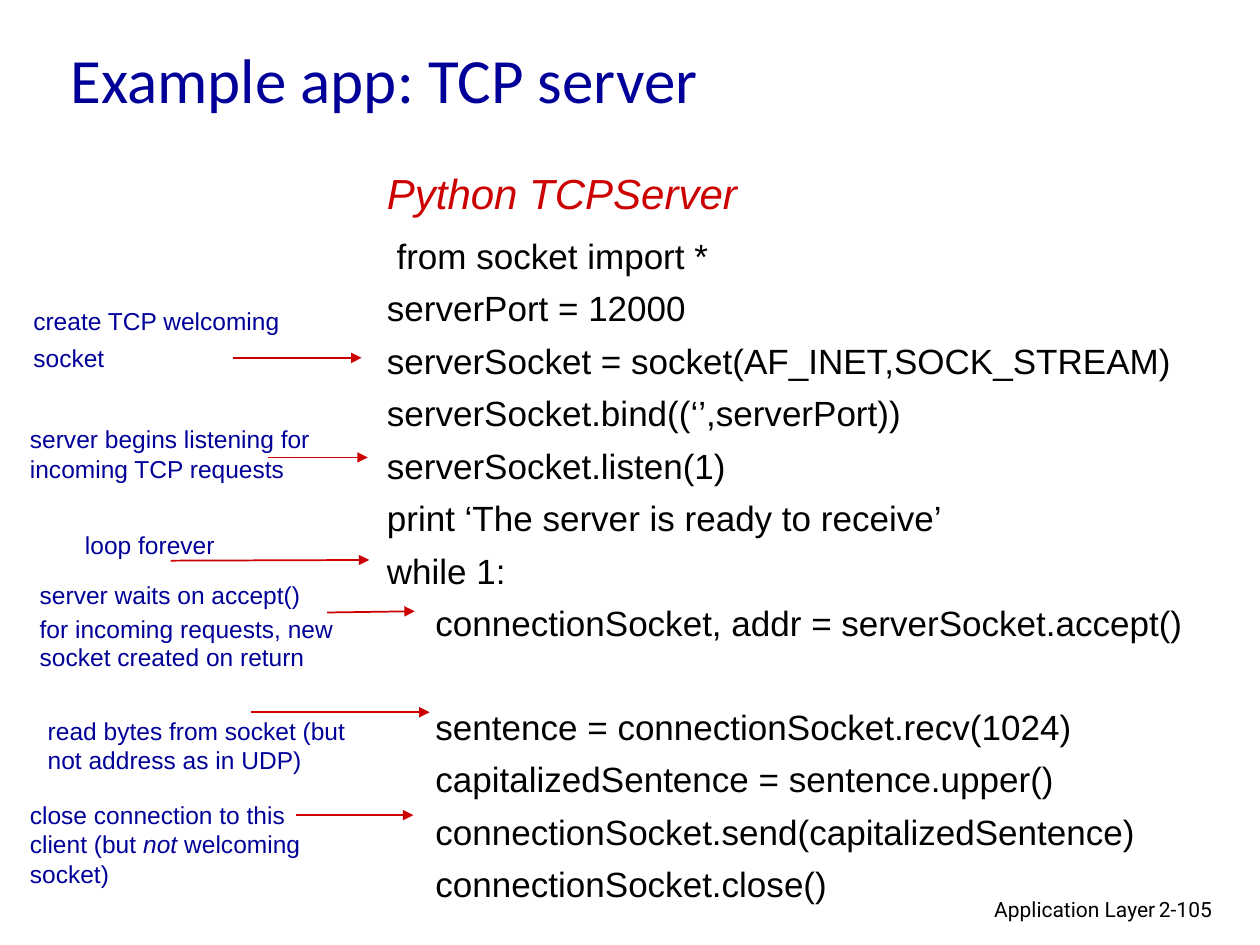
from lxml.etree import SubElement
from pptx import Presentation
from pptx.dml.color import RGBColor
from pptx.enum.shapes import MSO_CONNECTOR
from pptx.enum.text import MSO_ANCHOR, PP_ALIGN
from pptx.oxml.ns import qn
from pptx.util import Pt

COLORS = {"navy": "000099", "red": "CC0000", "black": "000000"}

TITLE = {"name": "Calibri", "size": Pt(36), "color": "navy"}
HEADING = {"name": "Arial", "size": Pt(24), "color": "red", "italic": True}
CODE = {"name": "Arial", "size": Pt(20), "color": "black"}
NOTE = {"name": "Arial", "size": Pt(14), "color": "navy"}
FOOTER = {"name": "Roboto", "size": Pt(12), "color": "black"}


def add_run(p, text, fmt, **extra):
    r = p.add_run()
    r.text = text
    for key, value in {**fmt, **extra}.items():
        if key == "color":
            r.font.color.rgb = RGBColor.from_string(COLORS[value])
        else:
            setattr(r.font, key, value)


def add_text(shapes, box, lines, fmt, wrap=True, gap=0, **para):
    """Add a text box; text between asterisk pairs (**) is italic."""
    tf = shapes.add_textbox(*map(Pt, box)).text_frame
    tf.word_wrap = wrap
    for i, line in enumerate(lines):
        p = tf.add_paragraph() if i else tf.paragraphs[0]
        p.space_before = Pt(gap if i else 0)
        for key, value in para.items():
            setattr(p, key, value)
        for j, part in enumerate(line.split("**")):
            add_run(p, part, fmt, **({"italic": True} if j % 2 else {}))
    return tf


prs = Presentation()
prs.slide_width, prs.slide_height = Pt(720), Pt(540)
s = prs.slides.add_slide(prs.slide_layouts[5])

# Title
title = s.shapes.title
title.left, title.top, title.width, title.height = map(Pt, (33, 7.2, 612, 75))
tf = title.text_frame
tf.vertical_anchor = MSO_ANCHOR.MIDDLE
tf.paragraphs[0].alignment = PP_ALIGN.LEFT
add_run(tf.paragraphs[0], "Example app: TCP server", TITLE)

# Code heading and listing
add_text(s.shapes, (214, 92, 214.5, 36), ["Python TCPServer"], HEADING, wrap=False)
code = [
    " from socket import *",
    "serverPort = 12000",
    "serverSocket = socket(AF_INET,SOCK_STREAM)",
    "serverSocket.bind((‘’,serverPort))",
    "serverSocket.listen(1)",
    "print ‘The server is ready to receive’",
    "while 1:",
    "     connectionSocket, addr = serverSocket.accept()",
    "     sentence = connectionSocket.recv(1024)",
    "     capitalizedSentence = sentence.upper()",
    "     connectionSocket.send(capitalizedSentence)",
    "     connectionSocket.close()",
]
tf = add_text(s.shapes, (214, 130.3, 469.5, 379.5), code, CODE, wrap=False, gap=6)
tf.paragraphs[8].space_before = Pt(35)  # one line left open after accept()

# Notes with arrows: box, paragraphs, line spacing, arrow from x, y to x, y
notes = [
    ((12, 171.4, 201.6, 44.6), ["create TCP welcoming", "socket"],
     None, (133.2, 204.5, 206.6, 204.5)),
    ((10, 239, 178.6, 41), ["server begins listening for incoming TCP requests"],
     None, (153.4, 261.4, 210.2, 261.4)),
    ((41.5, 300.2, 93.6, 23), ["loop forever"],
     Pt(15.7), (97.5, 320.4, 211, 320)),
    ((15.6, 329, 202.3, 58.3),
     ["server waits on accept()", "for incoming requests, new socket created on return"],
     Pt(15.7), (187, 350, 237, 349.3)),
    ((20.2, 405.4, 185, 41), ["read bytes from socket (but not address as in UDP)"],
     None, (143.2, 407, 245.5, 407)),
    ((10, 453.6, 185, 57.6),
     ["close connection to this client (but **not** welcoming socket)"],
     None, (169, 465.8, 236.2, 465.8)),
]
for box, lines, spacing, ends in notes:
    group = s.shapes.add_group_shape()
    add_text(group.shapes, box, lines, NOTE, gap=4, line_spacing=spacing)
    arrow = group.shapes.add_connector(MSO_CONNECTOR.STRAIGHT, *map(Pt, ends))
    arrow.line.color.rgb = RGBColor.from_string(COLORS["red"])
    arrow.line.width = Pt(1)
    SubElement(arrow.line._get_or_add_ln(), qn("a:tailEnd"), type="triangle")
    SubElement(arrow._element.spPr, qn("a:effectLst"))

# Footer and slide number
add_text(s.shapes, (439.2, 509, 228.2, 22.3), ["Application Layer"], FOOTER,
         alignment=PP_ALIGN.RIGHT)
add_text(s.shapes, (655.2, 509, 53.3, 21.6), ["2-105"], FOOTER)

prs.save("out.pptx")
